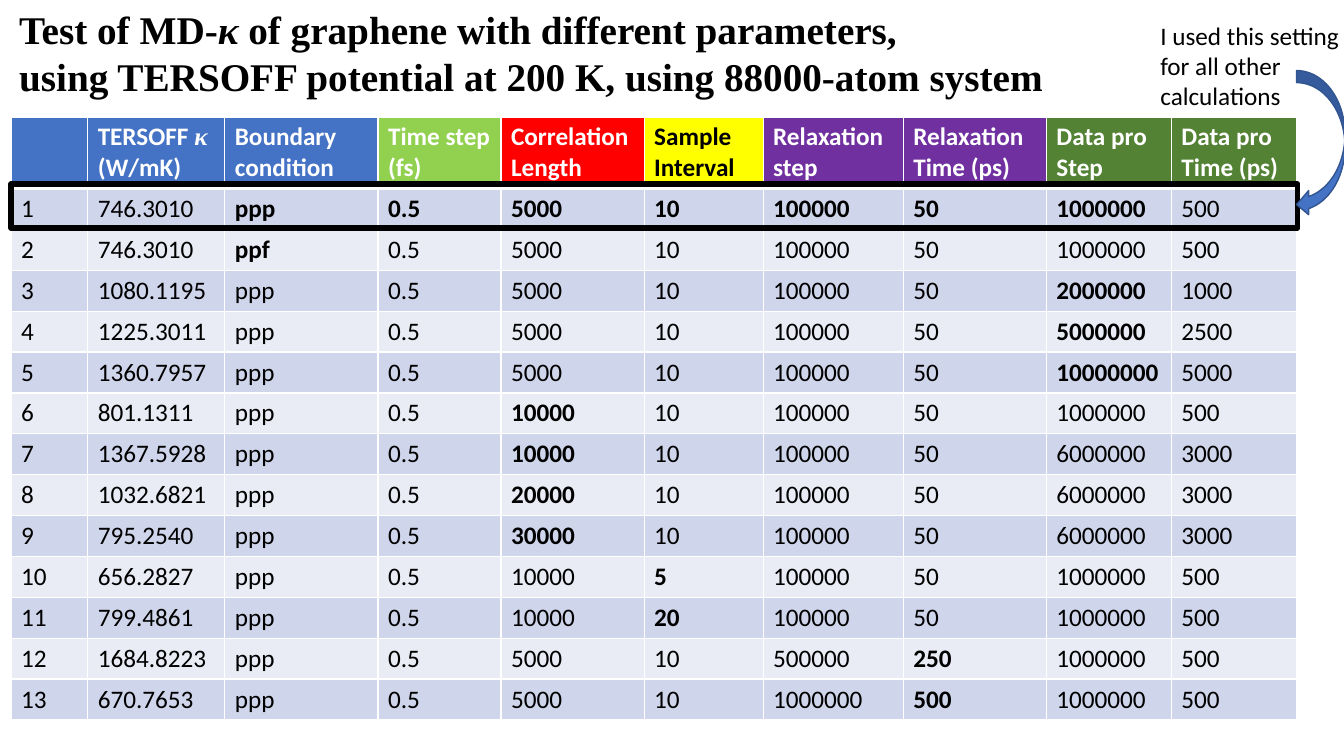
import pptx
import pptx.util
import pptx.dml.color
import pptx.enum.shapes
import pptx.enum.text
import pptx.oxml
import pptx.oxml.ns

RGB = pptx.dml.color.RGBColor
BLACK, WHITE = RGB(0, 0, 0), RGB(255, 255, 255)
BLUE, NAVY = RGB(0x44, 0x72, 0xC4), RGB(0x32, 0x54, 0x91)
LIME, RED = RGB(0x92, 0xD0, 0x50), RGB(0xFF, 0, 0)
YELLOW, PURPLE = RGB(0xFF, 0xFF, 0), RGB(0x70, 0x30, 0xA0)
GREEN = RGB(0x54, 0x82, 0x35)
BANDS = RGB(0xCF, 0xD5, 0xEA), RGB(0xE9, 0xEB, 0xF5)
SANS, SERIF = "Calibri", "Times New Roman"
KAPPA = "κ"

# Each text is a list of lines, each line a list of runs.
TITLE = [["Test of MD-", KAPPA, " of graphene with different parameters,"],
         ["using TERSOFF potential at 200 K, using 88000-atom system"]]
NOTE = [["I used this setting for all other calculations"]]

# Column width, fill, heading
HEADS = [
    (0.76, BLUE, []),
    (1.36, BLUE, [["TERSOFF ", KAPPA], ["(W/mK)"]]),
    (1.52, BLUE, [["Boundary condition"]]),
    (1.22, LIME, [["Time step"], ["(fs)"]]),
    (1.42, RED, [["Correlation"], ["Length"]]),
    (1.18, YELLOW, [["Sample"], ["Interval"]]),
    (1.39, PURPLE, [["Relaxation step"]]),
    (1.42, PURPLE, [["Relaxation"], ["Time (ps)"]]),
    (1.24, GREEN, [["Data pro"], ["Step"]]),
    (1.24, GREEN, [["Data pro"], ["Time (ps)"]]),
]

# A star marks a bold value; rows are numbered in order.
TESTS = """
746.3010 *ppp *0.5 *5000 *10 *100000 *50 *1000000 500
746.3010 *ppf 0.5 5000 10 100000 50 1000000 500
1080.1195 ppp 0.5 5000 10 100000 50 *2000000 1000
1225.3011 ppp 0.5 5000 10 100000 50 *5000000 2500
1360.7957 ppp 0.5 5000 10 100000 50 *10000000 5000
801.1311 ppp 0.5 *10000 10 100000 50 1000000 500
1367.5928 ppp 0.5 *10000 10 100000 50 6000000 3000
1032.6821 ppp 0.5 *20000 10 100000 50 6000000 3000
795.2540 ppp 0.5 *30000 10 100000 50 6000000 3000
656.2827 ppp 0.5 10000 *5 100000 50 1000000 500
799.4861 ppp 0.5 10000 *20 100000 50 1000000 500
1684.8223 ppp 0.5 5000 10 500000 *250 1000000 500
670.7653 ppp 0.5 5000 10 1000000 *500 1000000 500
""".strip().splitlines()

LEFT, TOP, HEIGHT = 0.11, 1.16, 5.97
HEAD = 0.7
ROW = (HEIGHT - HEAD) / len(TESTS)
WIDTH = sum(wide for wide, _, _ in HEADS)


def box(*sizes):
    return [pptx.util.Inches(size) for size in sizes]


def write(frame, lines, size=18, face=SANS, color=BLACK, bold=False):
    for i, line in enumerate(lines):
        para = frame.paragraphs[0] if i == 0 else frame.add_paragraph()
        para.alignment = pptx.enum.text.PP_ALIGN.LEFT
        for text in line:
            run = para.add_run()
            run.text = text
            font = run.font
            font.size, font.bold = pptx.util.Pt(size), bold
            font.italic = text == KAPPA
            font.name = SERIF if text == KAPPA else face
            font.color.rgb = color


def paint(cell, color, row):
    """Draw white borders, thick below the heading, then fill the cell."""
    props = cell._tc.get_or_add_tcPr()
    thick = {0: "B", 1: "T"}.get(row)
    for side in "LRTB":
        points = 3 if side == thick else 1
        props.append(pptx.oxml.parse_xml(
            f'<a:ln{side} {pptx.oxml.ns.nsdecls("a")} w="{pptx.util.Pt(points)}">'
            f'<a:solidFill><a:srgbClr val="{WHITE}"/></a:solidFill></a:ln{side}>'))
    cell.fill.solid()
    cell.fill.fore_color.rgb = color


def build():
    deck = pptx.Presentation()
    deck.slide_width, deck.slide_height = box(13.33, 7.5)
    slide = deck.slides.add_slide(deck.slide_layouts[5])
    shapes = slide.shapes

    title = shapes.title
    title.left, title.top, title.width, title.height = box(0.09, 0, 12.46, 1.04)
    title.text_frame.vertical_anchor = pptx.enum.text.MSO_ANCHOR.TOP
    title.text_frame.auto_size = pptx.enum.text.MSO_AUTO_SIZE.NONE
    write(title.text_frame, TITLE, 28, SERIF, bold=True)

    table = shapes.add_table(len(TESTS) + 1, len(HEADS),
                             *box(LEFT, TOP, WIDTH, HEIGHT)).table
    for i, row in enumerate(table.rows):
        row.height = pptx.util.Inches(ROW if i else HEAD)
    for j, (wide, color, lines) in enumerate(HEADS):
        table.columns[j].width = pptx.util.Inches(wide)
        cell = table.cell(0, j)
        paint(cell, color, 0)
        write(cell.text_frame, lines, bold=True,
              color=BLACK if color == YELLOW else WHITE)
    for i, test in enumerate(TESTS, 1):
        for j, value in enumerate([str(i)] + test.split()):
            cell = table.cell(i, j)
            paint(cell, BANDS[(i - 1) % 2], i)
            write(cell.text_frame, [[value.lstrip("*")]],
                  bold=value.startswith("*"))

    kinds = pptx.enum.shapes.MSO_SHAPE
    frame = shapes.add_shape(kinds.RECTANGLE, *box(LEFT, 1.83, 12.76, 0.43))
    frame.shadow.inherit = False
    frame.fill.background()
    frame.line.color.rgb = BLACK
    frame.line.width = pptx.util.Pt(4.25)

    note = shapes.add_textbox(*box(11.41, 0.15, 1.99, 1.01)).text_frame
    note.word_wrap = True
    write(note, NOTE)

    arrow = shapes.add_shape(kinds.CURVED_LEFT_ARROW, *box(12.86, 0.7, 0.48, 1.45))
    arrow.shadow.inherit = False
    arrow.fill.solid()
    arrow.fill.fore_color.rgb = BLUE
    arrow.line.color.rgb = NAVY
    arrow.line.width = pptx.util.Pt(1)

    deck.save("out.pptx")


if __name__ == "__main__":
    build()
